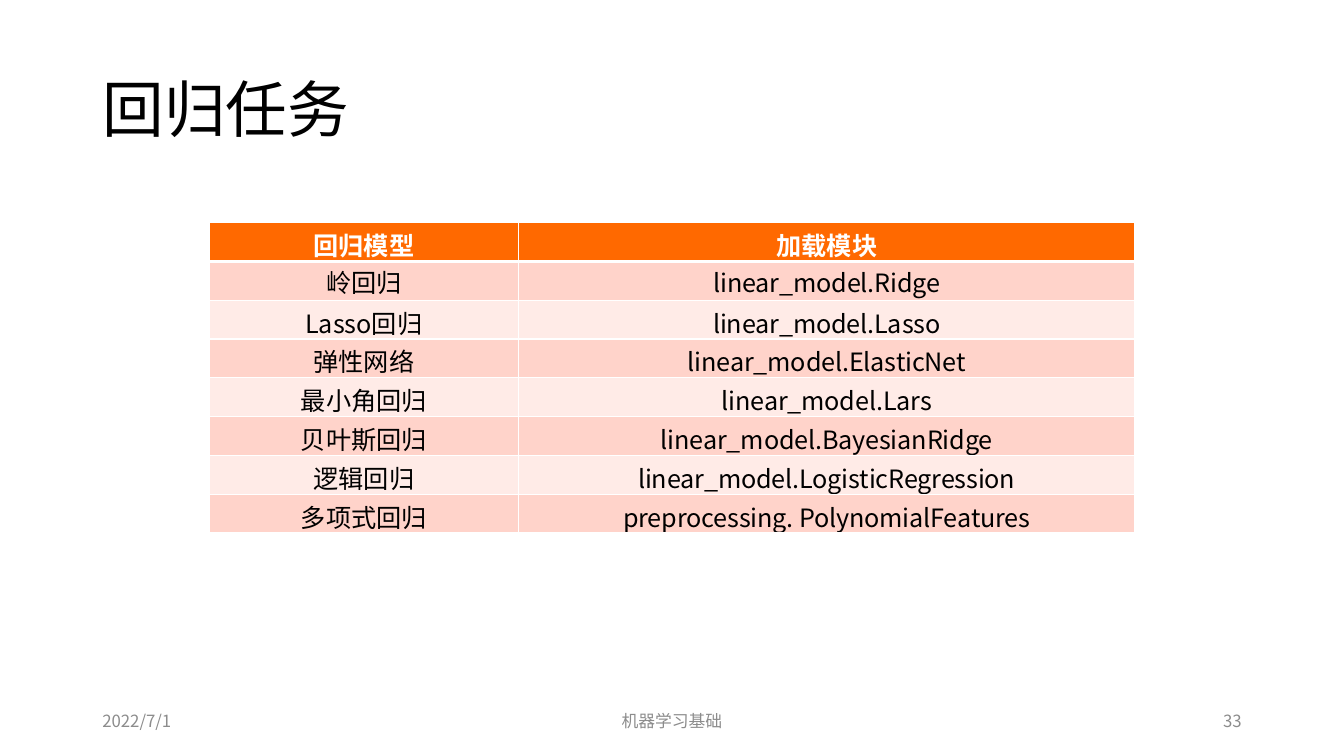
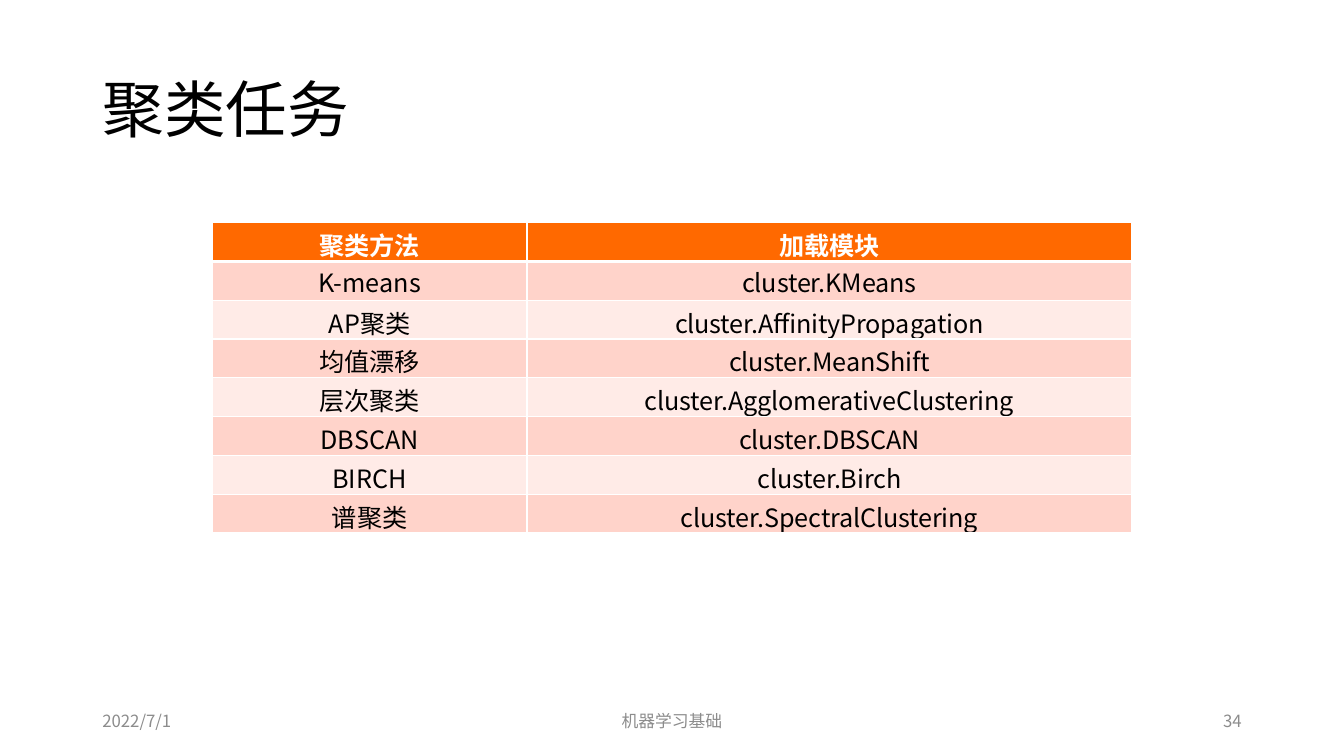
from pptx import Presentation
from pptx.dml.color import RGBColor
from pptx.enum.text import MSO_ANCHOR as Anchor, MSO_AUTO_SIZE as AutoSize, PP_ALIGN as Align
from pptx.oxml.ns import qn
from pptx.util import Emu, Pt
from lxml.etree import SubElement

EMU_PER_PX = 9525
SLIDE_WIDTH, SLIDE_HEIGHT = 1280, 720
TITLE_ONLY_LAYOUT = 5

COLORS = {
    "text": "000000",
    "footer": "8C8C8C",
    "header": "FF6900",
    "band_dark": "FFD3CA",
    "band_light": "FFEBE7",
    "white": "FFFFFF",
}

SLIDES = [
    {
        "title": "回归任务",
        "number": 33,
        "columns": (295, 587),
        "rows": [
            ("回归模型", "加载模块"),
            ("岭回归", "linear_model.Ridge"),
            ("Lasso回归", "linear_model.Lasso"),
            ("弹性网络", "linear_model.ElasticNet"),
            ("最小角回归", "linear_model.Lars"),
            ("贝叶斯回归", "linear_model.BayesianRidge"),
            ("逻辑回归", "linear_model.LogisticRegression"),
            ("多项式回归", "preprocessing. PolynomialFeatures"),
        ],
    },
    {
        "title": "聚类任务",
        "number": 34,
        "columns": (300, 576),
        "rows": [
            ("聚类方法", "加载模块"),
            ("K-means", "cluster.KMeans"),
            ("AP聚类", "cluster.AffinityPropagation"),
            ("均值漂移", "cluster.MeanShift"),
            ("层次聚类", "cluster.AgglomerativeClustering"),
            ("DBSCAN", "cluster.DBSCAN"),
            ("BIRCH", "cluster.Birch"),
            ("谱聚类", "cluster.SpectralClustering"),
        ],
    },
]


def px(length):
    return Emu(length * EMU_PER_PX)


class Deck:
    """Holds the shared style and the slide being built."""

    font = "Noto Sans CJK SC"
    footer_top, footer_height = 667, 38
    table_top, row_height = 212, 37

    def __init__(self):
        self.presentation = Presentation()
        self.presentation.slide_width = px(SLIDE_WIDTH)
        self.presentation.slide_height = px(SLIDE_HEIGHT)
        self.slide = None

    def add_slide(self, title):
        layout = self.presentation.slide_layouts[TITLE_ONLY_LAYOUT]
        self.slide = self.presentation.slides.add_slide(layout)
        shape = self.slide.shapes.title
        shape.left, shape.top, shape.width, shape.height = map(px, (88, 38, 1104, 139))
        self.set_text(shape.text_frame, title, 44, "text", Align.LEFT)
        shape.text_frame.auto_size = AutoSize.NONE
        shape.text_frame.vertical_anchor = Anchor.MIDDLE
        shape.text_frame.paragraphs[0].line_spacing = 0.9

    def set_text(self, text_frame, text, size, color, align, bold=False, spacing=0):
        """Fill the frame with one styled paragraph; spacing is in 1/100 point."""
        text_frame.text = text
        paragraph = text_frame.paragraphs[0]
        paragraph.alignment = align
        for run in paragraph.runs:
            run.font.name = self.font
            run.font.size = Pt(size)
            run.font.bold = bold
            run.font.color.rgb = RGBColor.from_string(COLORS[color])
            properties = run._r.get_or_add_rPr()
            SubElement(properties, qn("a:ea"), typeface=self.font)
            if spacing:
                properties.set("spc", str(spacing))

    def add_footer(self, date, topic, number):
        parts = [
            (88, 288, date, Align.LEFT),
            (424, 432, topic, Align.CENTER),
            (904, 288, str(number), Align.RIGHT),
        ]
        for left, width, text, align in parts:
            box = self.slide.shapes.add_textbox(
                px(left), px(self.footer_top), px(width), px(self.footer_height))
            box.text_frame.word_wrap = True
            box.text_frame.vertical_anchor = Anchor.MIDDLE
            self.set_text(box.text_frame, text, 12, "footer", align)

    def add_table(self, column_widths, rows):
        """Add a horizontally centred table whose first row is the header."""
        width = sum(column_widths)
        table = self.slide.shapes.add_table(
            len(rows), len(column_widths), px((SLIDE_WIDTH - width) // 2),
            px(self.table_top), px(width), px(self.row_height * len(rows))).table
        table.horz_banding = False
        for column, column_width in zip(table.columns, column_widths):
            column.width = px(column_width)
        for row_index, texts in enumerate(rows):
            for column_index, text in enumerate(texts):
                self.fill_cell(table.cell(row_index, column_index), text,
                               row_index, is_module=column_index == 1)

    def fill_cell(self, cell, text, row_index, is_module):
        is_header = row_index == 0
        if is_header:
            fill = "header"
        else:
            fill = "band_dark" if row_index % 2 else "band_light"
        self.add_borders(cell, top=3 if row_index == 1 else 1, bottom=3 if is_header else 1)
        cell.fill.solid()
        cell.fill.fore_color.rgb = RGBColor.from_string(COLORS[fill])
        space_above = Pt(1.6 if row_index == 1 else 2.6)
        cell.margin_left = cell.margin_right = cell.margin_bottom = 0
        cell.margin_top = space_above
        self.set_text(cell.text_frame, text, 18, "white" if is_header else "text",
                      Align.CENTER, bold=is_header,
                      spacing=-10 if is_module and not is_header else 0)
        cell.text_frame.paragraphs[0].space_before = space_above

    def add_borders(self, cell, top, bottom):
        """Draw white cell borders; must run before the cell gets its fill."""
        properties = cell._tc.get_or_add_tcPr()
        for tag, points in (("lnL", 1), ("lnR", 1), ("lnT", top), ("lnB", bottom)):
            line = SubElement(properties, qn(f"a:{tag}"), w=str(Pt(points)))
            solid_fill = SubElement(line, qn("a:solidFill"))
            SubElement(solid_fill, qn("a:srgbClr"), val=COLORS["white"])

    def save(self):
        self.presentation.save("out.pptx")


def main():
    deck = Deck()
    for content in SLIDES:
        deck.add_slide(content["title"])
        deck.add_footer("2022/7/1", "机器学习基础", content["number"])
        deck.add_table(content["columns"], content["rows"])
    deck.save()


if __name__ == "__main__":
    main()
